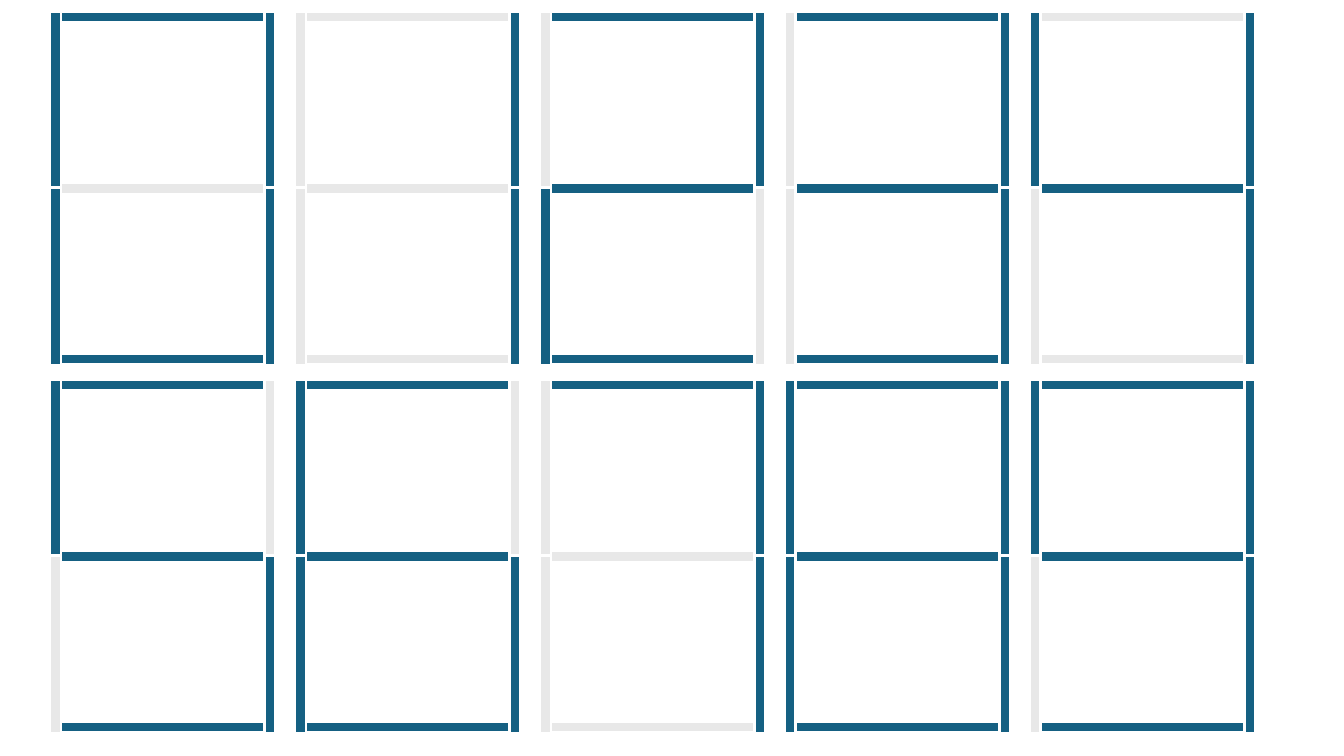
"""Draw the digits 0 to 9 as seven-segment displays in two rows of five."""
from lxml import etree
from pptx import Presentation
from pptx.dml.color import RGBColor
from pptx.enum.shapes import MSO_CONNECTOR
from pptx.oxml.ns import qn
from pptx.util import Pt

STRAIGHT = MSO_CONNECTOR.STRAIGHT

LIT_SEGMENTS = {
    0: "abcdef",
    1: "bc",
    2: "abdeg",
    3: "abcdg",
    4: "bcfg",
    5: "acdfg",
    6: "acdefg",
    7: "abc",
    8: "abcdefg",
    9: "abcdfg",
}

THEME = {
    "lit": RGBColor(0x15, 0x60, 0x82),
    "unlit": RGBColor(0xE8, 0xE8, 0xE8),
    "thickness": Pt(6),
}

PAGE_WIDTH, PAGE_HEIGHT = 960, 540
COLUMNS = 5
ORIGIN_X, ORIGIN_Y = 39.6, 9.36
PITCH_X, PITCH_Y = 174.96, 262.8

RIGHT = 153.36
BAR_START, BAR_END = 5.04, 148.32
TOP, MIDDLE, BOTTOM = 2.88, 125.28, 246.96
UPPER_START, UPPER_END = 0, 123.84
LOWER_START, LOWER_END = 126, 250.56

SEGMENTS = {
    "f": (0, UPPER_START, 0, UPPER_END),
    "b": (RIGHT, UPPER_START, RIGHT, UPPER_END),
    "e": (0, LOWER_START, 0, LOWER_END),
    "c": (RIGHT, LOWER_START, RIGHT, LOWER_END),
    "d": (BAR_END, BOTTOM, BAR_START, BOTTOM),
    "g": (BAR_START, MIDDLE, BAR_END, MIDDLE),
    "a": (BAR_START, TOP, BAR_END, TOP),
}


def add_segment(page, ends, color):
    segment = page.shapes.add_connector(STRAIGHT, *(Pt(value) for value in ends))
    segment.line.color.rgb = color
    segment.line.width = THEME["thickness"]
    etree.SubElement(segment.element.spPr, qn("a:effectLst"))


def add_digit(page, digit):
    row, column = divmod(digit, COLUMNS)
    left = ORIGIN_X + column * PITCH_X
    top = ORIGIN_Y + row * PITCH_Y
    for name, (x1, y1, x2, y2) in SEGMENTS.items():
        state = "lit" if name in LIT_SEGMENTS[digit] else "unlit"
        add_segment(page, (left + x1, top + y1, left + x2, top + y2), THEME[state])


def main():
    deck = Presentation()
    deck.slide_width, deck.slide_height = Pt(PAGE_WIDTH), Pt(PAGE_HEIGHT)
    page = deck.slides.add_slide(deck.slide_layouts[6])
    for digit in LIT_SEGMENTS:
        add_digit(page, digit)
    deck.save("out.pptx")


if __name__ == "__main__":
    main()
